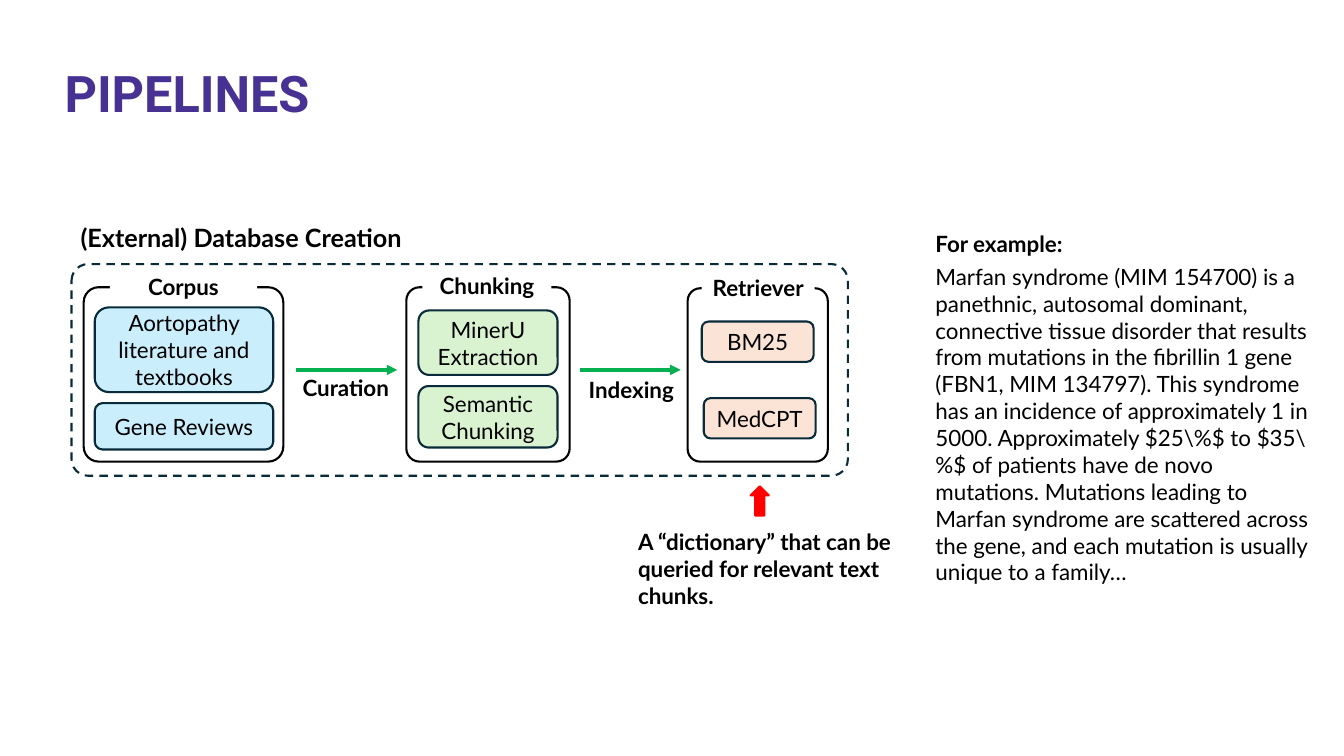
import pptx
import pptx.util
import pptx.dml.color
import pptx.enum.dml
import pptx.enum.shapes
import pptx.enum.text
import pptx.oxml
import pptx.oxml.ns

Inches = pptx.util.Inches
Pt = pptx.util.Pt
RGBColor = pptx.dml.color.RGBColor
Shape = pptx.enum.shapes.MSO_SHAPE
Align = pptx.enum.text.PP_ALIGN
Anchor = pptx.enum.text.MSO_ANCHOR
AutoSize = pptx.enum.text.MSO_AUTO_SIZE

PURPLE = RGBColor(0x47, 0x31, 0x93)
BLACK = RGBColor(0, 0, 0)
WHITE = RGBColor(0xFF, 0xFF, 0xFF)
NAVY = RGBColor(0x09, 0x2A, 0x39)
BLUE = RGBColor(0xCA, 0xEE, 0xFB)
LIGHT_GREEN = RGBColor(0xD9, 0xF2, 0xD0)
PEACH = RGBColor(0xFB, 0xE3, 0xD6)
GREEN = RGBColor(0x05, 0xB0, 0x50)
RED = RGBColor(0xFF, 0, 0)


def write_text(shape, text, size=16, font="Lato", color=BLACK, bold=False,
               align=Align.LEFT, anchor=Anchor.TOP, wrap=True, fit=AutoSize.NONE):
    frame = shape.text_frame
    frame.word_wrap = wrap
    frame.auto_size = fit
    frame.vertical_anchor = anchor
    paragraph = frame.paragraphs[0]
    paragraph.alignment = align
    run = paragraph.add_run()
    run.text = text
    run.font.size = Pt(size)
    run.font.name = font
    run.font.bold = bold
    run.font.color.rgb = color


def add_label(slide, box, text, **text_format):
    label = slide.shapes.add_textbox(*map(Inches, box))
    write_text(label, text, **text_format)


def add_block(shapes, kind, box, fill=None, line=None, corner=None):
    shape = shapes.add_shape(kind, *map(Inches, box))
    shape.shadow.inherit = False
    if fill is None:
        shape.fill.background()
    else:
        shape.fill.solid()
        shape.fill.fore_color.rgb = fill
    if line is None:
        shape.line.fill.background()
    else:
        shape.line.color.rgb = line
        shape.line.width = Pt(1.5)
    if corner is not None:
        shape.adjustments[0] = corner
    return shape


def add_title(slide, box, text):
    title = slide.shapes.title
    title.left, title.top, title.width, title.height = map(Inches, box)
    write_text(title, text, size=36, font="Roboto", color=PURPLE, bold=True,
               fit=AutoSize.SHAPE_TO_FIT_TEXT)


def add_stage(slide, box, corner, heading, heading_box, items, fill):
    left, top, width, height = box
    shapes = slide.shapes.add_group_shape().shapes
    add_block(shapes, Shape.ROUNDED_RECTANGLE, box, WHITE, BLACK, corner)
    parts = [(heading, heading_box, Shape.RECTANGLE, WHITE, None, True)]
    parts += [(text, item_box, Shape.ROUNDED_RECTANGLE, fill, NAVY, False)
              for text, item_box in items]
    for text, (x, y, part_width, part_height), kind, color, line, bold in parts:
        part = add_block(shapes, kind, (left + x, top + y, part_width, part_height), color, line)
        write_text(part, text, bold=bold, align=Align.CENTER, anchor=Anchor.MIDDLE)


def add_flow_arrow(slide, left, top, length):
    arrow = slide.shapes.add_connector(
        pptx.enum.shapes.MSO_CONNECTOR.STRAIGHT,
        Inches(left), Inches(top), Inches(left + length), Inches(top))
    arrow.line.color.rgb = GREEN
    arrow.line.width = Pt(2.5)
    line = arrow.line._get_or_add_ln()
    tail = pptx.oxml.ns.qn("a:tailEnd")
    line.append(line.makeelement(tail, {"type": "triangle"}))
    properties = arrow._element.spPr
    properties.append(properties.makeelement(pptx.oxml.ns.qn("a:effectLst"), {}))


def add_database(slide, box):
    left, top, width, height = box
    frame = add_block(slide.shapes, Shape.ROUNDED_RECTANGLE, box, line=NAVY, corner=0.078)
    frame.line.dash_style = pptx.enum.dml.MSO_LINE.DASH
    add_label(slide, (left - 0.01, top - 0.46, 3.49, 0.4), "(External) Database Creation",
              size=18, bold=True, wrap=False, fit=AutoSize.SHAPE_TO_FIT_TEXT)

    stage_top = top + 0.23
    add_stage(slide, (left + 0.12, stage_top, 1.98, 1.73), 0.086,
              "Corpus", (0.26, -0.19, 1.46, 0.36),
              [("Aortopathy literature and textbooks", (0.11, 0.2, 1.77, 0.84)),
               ("Gene Reviews", (0.11, 1.15, 1.77, 0.46))], BLUE)
    add_stage(slide, (left + 3.32, stage_top, 1.62, 1.73), 0.081,
              "Chunking", (0.16, -0.2, 1.28, 0.36),
              [("MinerU Extraction", (0.12, 0.23, 1.38, 0.64)),
               ("Semantic Chunking", (0.12, 0.98, 1.38, 0.61))], LIGHT_GREEN)
    add_stage(slide, (left + 6.11, stage_top + 0.01, 1.39, 1.72), 0.09,
              "Retriever", (0.14, -0.21, 1.12, 0.4),
              [("BM25", (0.14, 0.33, 1.11, 0.4)),
               ("MedCPT", (0.16, 1.09, 1.11, 0.4))], PEACH)

    add_label(slide, (left + 1.9, top + 1.04, 1.64, 0.37), "Curation", bold=True,
              align=Align.CENTER, fit=AutoSize.SHAPE_TO_FIT_TEXT)
    add_label(slide, (left + 5.03, top + 1.06, 1.5, 0.37), "Indexing", bold=True,
              fit=AutoSize.SHAPE_TO_FIT_TEXT)
    for offset in (2.23, 5.04):
        add_flow_arrow(slide, left + offset, top + 1.05, 1)


def add_dictionary_note(slide, box):
    left, top, width, height = box
    pointer = add_block(slide.shapes, Shape.RIGHT_ARROW,
                        (left + 1.16, top - 0.31, 0.29, 0.18), RED, RED)
    pointer.rotation = 270
    add_label(slide, box, "A “dictionary” that can be queried for relevant text chunks.",
              bold=True)


def add_example(slide, box):
    left, top, width, height = box
    add_label(slide, (left, top, width, 0.37), "For example:", bold=True,
              fit=AutoSize.SHAPE_TO_FIT_TEXT)
    add_label(slide, (left, top + 0.33, width, height - 0.33),
              "Marfan syndrome (MIM 154700) is a panethnic, autosomal dominant, connective "
              "tissue disorder that results from mutations in the fibrillin 1 gene (FBN1, "
              "MIM 134797). This syndrome has an incidence of approximately 1 in 5000. "
              "Approximately $25\\%$ to $35\\%$ of patients have de novo mutations. Mutations "
              "leading to Marfan syndrome are scattered across the gene, and each mutation is "
              "usually unique to a family…", fit=AutoSize.SHAPE_TO_FIT_TEXT)


def main():
    presentation = pptx.Presentation()
    presentation.slide_width = Inches(13.33)
    presentation.slide_height = Inches(7.5)
    slide = presentation.slides.add_slide(presentation.slide_layouts.get_by_name("Title Only"))
    add_title(slide, (0.54, 0.57, 6.14, 0.71), "PIPELINES")
    add_database(slide, (0.71, 2.62, 7.7, 2.1))
    add_dictionary_note(slide, (6.23, 5.19, 3.21, 1.28))
    add_example(slide, (9.18, 2.23, 4.02, 3.39))
    presentation.save("out.pptx")


if __name__ == "__main__":
    main()
